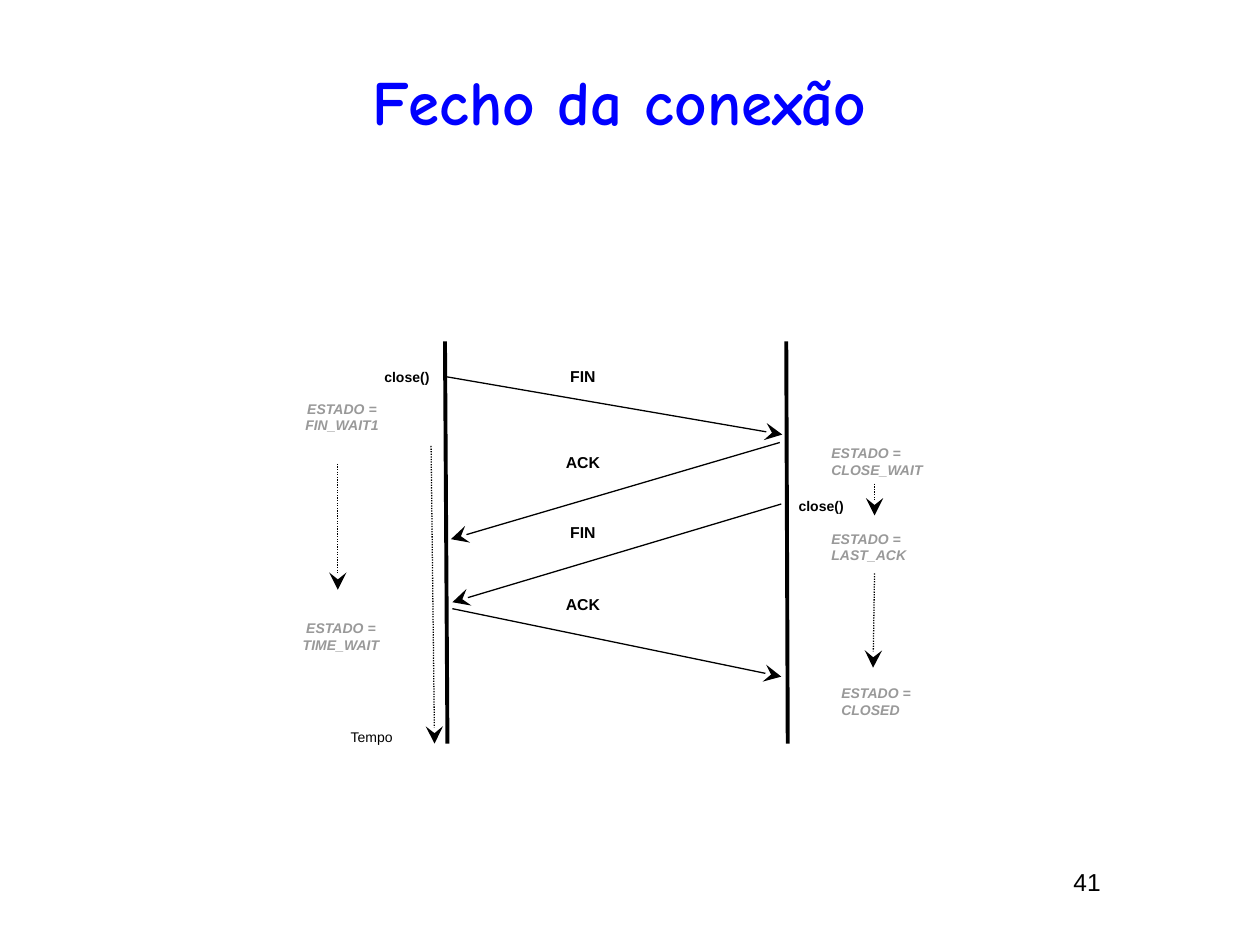
from lxml.etree import SubElement
from pptx import Presentation
from pptx.dml.color import RGBColor
from pptx.enum.dml import MSO_LINE
from pptx.enum.shapes import MSO_CONNECTOR
from pptx.enum.text import MSO_ANCHOR, MSO_AUTO_SIZE, PP_ALIGN
from pptx.oxml.ns import qn
from pptx.util import Cm, Pt

BLACK = RGBColor(0x00, 0x00, 0x00)
GRAY = RGBColor(0x99, 0x99, 0x99)
BLUE = RGBColor(0x00, 0x00, 0xFF)

LABEL_CENTER = 11.75
# label, label top, label width, arrow start, arrow end
MESSAGES = [
    ("FIN", 7.19, 3.12, (8.97, 7.59), (15.77, 8.76)),
    ("ACK", 8.92, 3.78, (15.72, 8.92), (9.09, 10.87)),
    ("FIN", 10.34, 3.12, (15.75, 10.16), (9.12, 12.14)),
    ("ACK", 11.79, 3.78, (9.12, 12.27), (15.75, 13.64)),
]
# state, left, top, width, alignment
STATES = [
    ("FIN_WAIT1", 5.56, 7.87, 2.67, PP_ALIGN.CENTER),
    ("TIME_WAIT", 5.54, 12.29, 2.67, PP_ALIGN.CENTER),
    ("CLOSE_WAIT", 16.51, 8.76, 2.77, PP_ALIGN.LEFT),
    ("LAST_ACK", 16.51, 10.49, 2.77, PP_ALIGN.LEFT),
    ("CLOSED", 16.71, 13.61, 2.77, PP_ALIGN.LEFT),
]
LIFELINES = [((8.97, 6.88), (9.02, 14.99)), ((15.85, 6.88), (15.88, 14.99))]
DOTTED_ARROWS = [
    ((8.69, 8.99), (8.76, 14.99)),
    ((6.81, 9.35), (6.81, 11.89)),
    ((17.63, 9.75), (17.63, 10.39)),
    ((17.63, 11.56), (17.6, 13.46)),
]
CLOSE_CALLS = [(7.14, 7.16), (15.49, 9.75)]


def write_run(frame, text, size, color=BLACK, align=PP_ALIGN.CENTER,
              font="Arial", bold=False, italic=False):
    paragraph = frame.paragraphs[0]
    paragraph.alignment = align
    run = paragraph.add_run()
    run.text = text
    run.font.name = font
    run.font.size = Pt(size)
    run.font.bold = bold
    run.font.italic = italic
    run.font.color.rgb = color


def add_label(slide, text, box, size=8, margin=0.25,
              anchor=MSO_ANCHOR.MIDDLE, **style):
    frame = slide.shapes.add_textbox(*map(Cm, box)).text_frame
    frame.word_wrap = True
    frame.vertical_anchor = anchor
    frame.margin_left = frame.margin_right = Cm(0.25)
    frame.margin_top = frame.margin_bottom = Cm(margin)
    write_run(frame, text, size, **style)


def add_line(slide, start, end, width=0.75, dotted=False, arrow=True):
    connector = slide.shapes.add_connector(
        MSO_CONNECTOR.STRAIGHT, *map(Cm, start + end))
    connector.line.color.rgb = BLACK
    connector.line.width = Pt(width)
    if dotted:
        connector.line.dash_style = MSO_LINE.ROUND_DOT
    properties = connector._element.spPr
    if arrow:
        SubElement(properties.find(qn("a:ln")), qn("a:tailEnd"),
                   type="stealth", w="lg", len="lg")
    SubElement(properties, qn("a:effectLst"))


def set_title(slide, text):
    title = slide.shapes.title
    title.left, title.top = Cm(0.84), Cm(1.07)
    title.width, title.height = Cm(23.29), Cm(1.91)
    frame = title.text_frame
    frame.auto_size = MSO_AUTO_SIZE.NONE
    frame.vertical_anchor = MSO_ANCHOR.MIDDLE
    write_run(frame, text, 36, BLUE, font="Comic Neue", bold=True)


def main():
    presentation = Presentation()
    presentation.slide_width, presentation.slide_height = Cm(25.4), Cm(19.05)
    slide = presentation.slides.add_slide(presentation.slide_layouts[5])
    set_title(slide, "Fecho da conexão")

    for start, end in LIFELINES:
        add_line(slide, start, end, width=2.25, arrow=False)
    for start, end in DOTTED_ARROWS:
        add_line(slide, start, end, dotted=True)
    for text, top, width, start, end in MESSAGES:
        add_line(slide, start, end)
        add_label(slide, text, (LABEL_CENTER - width / 2, top, width, 0.79),
                  size=9, bold=True)
    for state, left, top, width, align in STATES:
        add_label(slide, f"ESTADO = {state}", (left, top, width, 1.07),
                  color=GRAY, align=align, bold=True, italic=True)
    for left, top in CLOSE_CALLS:
        add_label(slide, "close()", (left, top, 2.13, 0.89), bold=True)
    add_label(slide, "Tempo", (6.43, 14.43, 2.13, 0.84))
    add_label(slide, "41", (21.39, 17.35, 2.54, 1.07), size=14, margin=0.13,
              anchor=MSO_ANCHOR.TOP, align=PP_ALIGN.LEFT)
    presentation.save("out.pptx")


if __name__ == "__main__":
    main()
